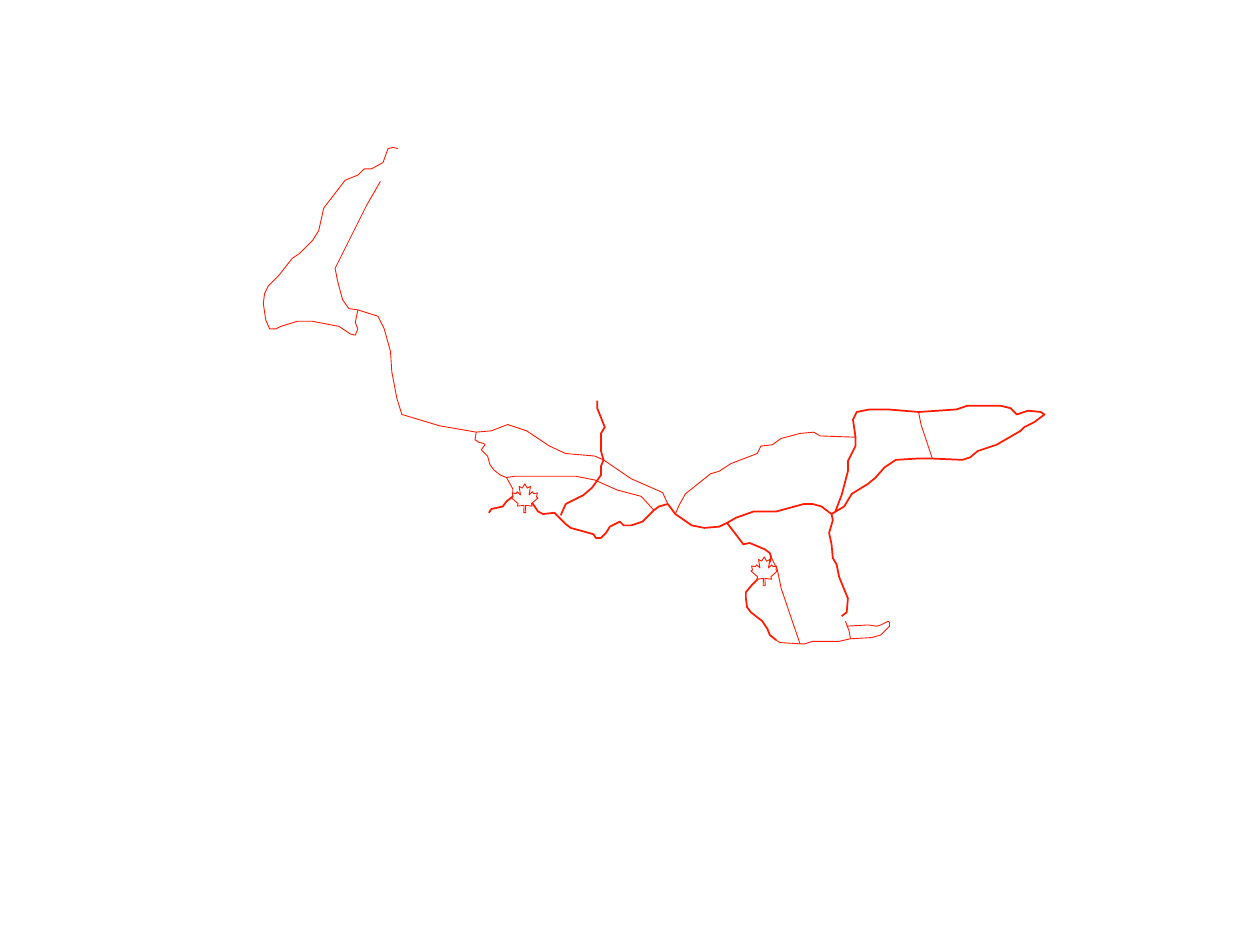
from dataclasses import dataclass
from itertools import chain

from pptx import Presentation
from pptx.dml.color import RGBColor as RGB
from pptx.util import Pt

TRAIL_RED = RGB(0xFF, 0x1A, 0x00)
LEAF_WHITE = RGB(0xFF, 0xFF, 0xFF)

# The map is measured in hundredths of an inch, a leaf ten times finer
MAP_UNIT = 0.72
LEAF_UNIT = MAP_UNIT / 10
MAIN, BRANCH = Pt(1), Pt(0.5)

# Junctions: places where two or more trails meet
NORTHWEST_TOWN = (284, 246)
WEST_TOWN = (378, 343)
WEST_LAKE = (402, 379)
WEST_BAY = (407, 394)
CENTRAL_HUB = (479, 365)
CENTRAL_FORK = (519, 405)
CENTRAL_GATE = (530, 400)
ARC_FORK = (536, 408)
EAST_FORK = (577, 415)
EAST_HUB = (660, 408)
EAST_GATE = (679, 347)
NORTH_SHORE = (729, 327)
SOUTH_SHORE = (740, 364)
SHORTCUT_FORK = (612, 442)
COAST_TOWN = (616, 508)
COAST_MIDDLE = (635, 511)
COAST_FORK = (675, 507)


@dataclass
class Trail:
    """A line made of named stretches that follow each other."""
    weight: int
    stretches: dict

    def stops(self):
        return list(chain.from_iterable(self.stretches.values()))


SOUTHERN_TRAIL = Trail(MAIN, {
    "west coast": [(388, 407), (390, 404), (399, 402), (402, 398), WEST_BAY,
                   (415, 395), (421, 397), (427, 406), (431, 408), (440, 407)],
    "central bay": [(449, 416), (453, 419), (471, 424), (473, 427), (477, 427),
                    (481, 423), (484, 418), (492, 414), (495, 417), (501, 417),
                    (510, 414), CENTRAL_FORK, (523, 402), CENTRAL_GATE],
    "eastward": [ARC_FORK, (549, 417), (559, 419), (571, 418), EAST_FORK],
    "down the coast": [(590, 432), (595, 431), (607, 436), (611, 439),
                       SHORTCUT_FORK, (611, 446), (605, 456), (597, 464),
                       (592, 470), (592, 475), (593, 482), (596, 486),
                       (605, 493), (609, 499), (611, 504), COAST_TOWN],
})

CENTRAL_SPUR = Trail(MAIN, {
    "north": [(474, 318), (474, 324), (480, 339), (477, 344), (477, 358),
              CENTRAL_HUB],
    "south": [(477, 370), (477, 377), (470, 387), (463, 393), (449, 400),
              (445, 409)],
})

EASTERN_LOOP = Trail(MAIN, {
    "from the south": [(668, 489), (672, 486), (673, 475), (666, 458),
                       (664, 448), (661, 443), (660, 432), (658, 423),
                       (661, 413), EAST_HUB],
    "south shore": [(670, 402), (676, 392), (689, 384), (695, 379), (702, 371),
                    (711, 365), (728, 364), SOUTH_SHORE, (764, 365),
                    (770, 363), (776, 358), (791, 353), (810, 342)],
    "cape": [(813, 339), (821, 335), (829, 329), (826, 327), (816, 326),
             (807, 329), (802, 324), (794, 322), (768, 322), (759, 325)],
    "north shore": [NORTH_SHORE, (705, 325), (690, 325), (680, 327),
                    (677, 333), EAST_GATE],
    "return": [(679, 354), (673, 366), (673, 374), (668, 393), (663, 406)],
})

NORTHWEST_LINK = Trail(BRANCH, {
    "mountains": [(302, 144), (291, 163), (266, 213), (268, 223), (272, 238),
                  (277, 245), NORTHWEST_TOWN],
    "river": [(300, 251), (305, 261), (310, 279), (311, 295), (315, 316),
              (319, 329), (349, 338), WEST_TOWN],
    "plains": [(390, 342), (403, 337), (418, 342), (436, 354), (449, 360),
               (472, 362), CENTRAL_HUB, (501, 380), (526, 391), CENTRAL_GATE],
})

NORTHWEST_LOOP = Trail(BRANCH, {
    "north": [(316, 118), (312, 117), (308, 118), (304, 129), (295, 134),
              (289, 134), (284, 139), (274, 143), (257, 165)],
    "west": [(253, 183), (248, 191), (238, 201), (232, 205), (221, 219),
             (213, 227), (210, 233), (209, 241), (211, 254), (214, 261)],
    "south": [(219, 261), (223, 259), (236, 255), (248, 255), (269, 259),
              (278, 265), (282, 266), (284, 261), (282, 256), NORTHWEST_TOWN],
})

NORTHERN_ARC = Trail(BRANCH, {
    "climb": [ARC_FORK, (539, 401), (544, 392), (564, 376), (571, 374),
              (580, 368), (601, 360), (604, 354), (613, 353)],
    "crest": [(620, 348), (635, 344), (646, 343), (651, 346), EAST_GATE],
})

EASTERN_CROSSING = Trail(BRANCH, {
    "shore to shore": [NORTH_SHORE, (731, 337), SOUTH_SHORE],
})

SOUTHERN_SHORTCUT = Trail(BRANCH, {
    "inland": [COAST_MIDDLE, (620, 467), (617, 452), SHORTCUT_FORK],
})

SOUTHEAST_COAST = Trail(BRANCH, {
    "outward": [COAST_TOWN, (619, 510), COAST_MIDDLE, (639, 511), (645, 509),
                (666, 509), COAST_FORK, (692, 506), (699, 504)],
    "return": [(706, 497), (706, 494), (705, 493), (699, 496), (696, 497),
               (689, 496), (672, 497)],
})

COAST_CROSSING = Trail(BRANCH, {
    "across": [COAST_FORK, (674, 501), (671, 493)],
})

EASTERN_LINK = Trail(MAIN, {
    "fork to hub": [EAST_FORK, (584, 411), (598, 406), (616, 406), (638, 400),
                    (645, 400), (652, 402), EAST_HUB],
})

WESTERN_BRANCH = Trail(BRANCH, {
    "bay to lake": [WEST_BAY, (407, 388), WEST_LAKE],
    "lake to town": [(397, 377), (392, 373), (389, 369), (387, 362),
                     (382, 357), (385, 353), (384, 352), (380, 351),
                     (377, 349), WEST_TOWN],
})

CENTRAL_LINK = Trail(BRANCH, {
    "lake to fork": [WEST_LAKE, (409, 378), (457, 378), (472, 381),
                     (490, 389), (509, 394), CENTRAL_FORK],
})

# Only the southern trail runs below the leaves
TRAILS_BELOW = [SOUTHERN_TRAIL]
TRAILS_ABOVE = [
    CENTRAL_SPUR, EASTERN_LOOP, NORTHWEST_LINK, NORTHWEST_LOOP, NORTHERN_ARC,
    EASTERN_CROSSING, SOUTHERN_SHORTCUT, SOUTHEAST_COAST, COAST_CROSSING,
    EASTERN_LINK, WESTERN_BRANCH, CENTRAL_LINK,
]

# A leaf is symmetric: its right half is given from the tip at (0, 0)
LEAF_TIPS = [(606.5, 442), (416.5, 384)]
LEAF_RIGHT_HALF = [
    (20, 34), (45, 20),                             # crown
    (34, 88), (60, 63), (70, 78), (100, 72),        # upper lobe
    (93, 104), (105, 112), (53, 157), (58, 177),    # lower lobe
    (6, 171), (8, 229),                             # stem
]


def draw_outline(slide, points, unit, weight, origin=(0, 0), closed=False):
    """Join the points by a red line; unit is the points per step."""
    builder = slide.shapes.build_freeform(*points[0], scale=Pt(unit))
    builder.add_line_segments(points[1:], close=closed)
    outline = builder.convert_to_shape(*origin)
    outline.shadow.inherit = False
    outline.line.color.rgb = TRAIL_RED
    outline.line.width = weight
    return outline


def add_trail(slide, trail):
    line = draw_outline(slide, trail.stops(), MAP_UNIT, trail.weight)
    line.fill.background()


def add_leaf(slide, tip):
    left_half = [(-x, y) for x, y in reversed(LEAF_RIGHT_HALF)]
    contour = [(0, 0)] + LEAF_RIGHT_HALF + left_half
    origin = [Pt(MAP_UNIT * position) for position in tip]
    leaf = draw_outline(slide, contour, LEAF_UNIT, BRANCH, origin, closed=True)
    leaf.fill.solid()
    leaf.fill.fore_color.rgb = LEAF_WHITE


def main():
    deck = Presentation()
    deck.slide_width, deck.slide_height = Pt(720), Pt(540)
    slide = deck.slides.add_slide(deck.slide_layouts[6])

    # Layers from back to front
    for trail in TRAILS_BELOW:
        add_trail(slide, trail)
    for tip in LEAF_TIPS:
        add_leaf(slide, tip)
    for trail in TRAILS_ABOVE:
        add_trail(slide, trail)

    deck.save("out.pptx")


if __name__ == "__main__":
    main()
